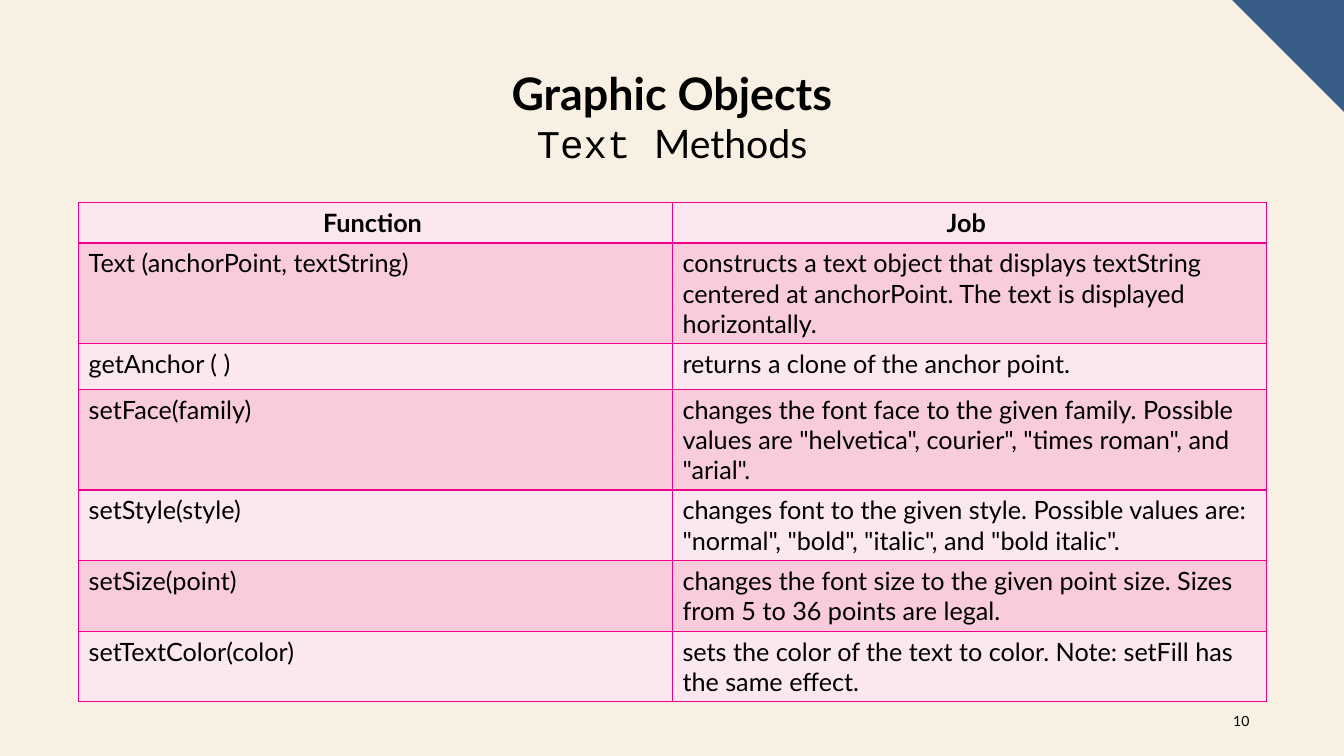
import pptx
import pptx.dml.color
import pptx.enum.text
import pptx.oxml
import pptx.oxml.ns
import pptx.util
from dataclasses import dataclass

Inches = pptx.util.Inches
Align = pptx.enum.text.PP_ALIGN
Anchor = pptx.enum.text.MSO_ANCHOR


@dataclass(frozen=True)
class Theme:
    background: str = "F8F0E3"
    corner: str = "385E88"
    text: str = "000000"
    border: str = "EC008C"
    light_row: str = "FBE7EE"
    dark_row: str = "F8CCDA"
    body_font: str = "Lato"
    code_font: str = "Courier New"
    title_size: int = 32
    subtitle_size: int = 28
    table_size: int = 18
    number_size: int = 10
    border_width: int = 1


METHODS = [
    ("Function ", "Job ", 0.39),
    ("Text (anchorPoint, textString)",
     "constructs a text object that displays textString centered at anchorPoint. "
     "The text is displayed horizontally.", 1.0),
    ("getAnchor ( )", "returns a clone of the anchor point.", 0.45),
    ("setFace(family)",
     "changes the font face to the given family. Possible values are "
     '"helvetica", courier", "times roman", and "arial".', 1.0),
    ("setStyle(style)",
     "changes font to the given style. Possible values are: "
     '"normal", "bold", "italic", and "bold italic".', 0.7),
    ("setSize(point)",
     "changes the font size to the given point size. "
     "Sizes from 5 to 36 points are legal.", 0.7),
    ("setTextColor(color)",
     "sets the color of the text to color. Note: setFill has the same effect.", 0.7),
]


def rgb(color):
    return pptx.dml.color.RGBColor.from_string(color)


class SlideBuilder:
    def __init__(self, slide, theme):
        self.slide = slide
        self.theme = theme

    def background(self):
        fill = self.slide.background.fill
        fill.solid()
        fill.fore_color.rgb = rgb(self.theme.background)

    def polygon(self, points, color):
        start, *others = [(Inches(x), Inches(y)) for x, y in points]
        builder = self.slide.shapes.build_freeform(*start)
        builder.add_line_segments(others, close=True)
        shape = builder.convert_to_shape()
        shape.shadow.inherit = False
        shape.fill.solid()
        shape.fill.fore_color.rgb = rgb(color)
        shape.line.fill.background()

    def style(self, paragraph, size, alignment, bold=False):
        paragraph.alignment = alignment
        font = paragraph.font
        font.name = self.theme.body_font
        font.size = pptx.util.Pt(size)
        font.bold = bold
        font.color.rgb = rgb(self.theme.text)

    def text(self, left, top, width, height, paragraphs, alignment):
        box = self.slide.shapes.add_textbox(
            Inches(left), Inches(top), Inches(width), Inches(height))
        frame = box.text_frame
        frame.word_wrap = True
        frame.vertical_anchor = Anchor.MIDDLE
        for index, (runs, size, bold) in enumerate(paragraphs):
            paragraph = frame.add_paragraph() if index else frame.paragraphs[0]
            self.style(paragraph, size, alignment, bold)
            for content, font_name in runs:
                run = paragraph.add_run()
                run.text = content
                run.font.name = font_name

    def cell_borders(self, cell):
        properties = cell._tc.get_or_add_tcPr()
        width = pptx.util.Pt(self.theme.border_width)
        for index, side in enumerate(("lnL", "lnR", "lnT", "lnB")):
            properties.insert(index, pptx.oxml.parse_xml(
                f'<a:{side} {pptx.oxml.ns.nsdecls("a")} w="{width}"><a:solidFill>'
                f'<a:srgbClr val="{self.theme.border}"/></a:solidFill></a:{side}>'))

    def table(self, left, top, column_width, rows):
        heights = [height for *_, height in rows]
        table = self.slide.shapes.add_table(
            len(rows), 2, Inches(left), Inches(top),
            Inches(2 * column_width), Inches(sum(heights))).table
        for column in table.columns:
            column.width = Inches(column_width)
        for row_index, (*contents, height) in enumerate(rows):
            table.rows[row_index].height = Inches(height)
            header = row_index == 0
            color = self.theme.dark_row if row_index % 2 else self.theme.light_row
            for cell, content in zip(table.rows[row_index].cells, contents):
                cell.text = content
                cell.fill.solid()
                cell.fill.fore_color.rgb = rgb(color)
                self.cell_borders(cell)
                self.style(cell.text_frame.paragraphs[0], self.theme.table_size,
                           Align.CENTER if header else Align.LEFT, header)


def main():
    presentation = pptx.Presentation()
    presentation.slide_width = Inches(13.33)
    presentation.slide_height = Inches(7.5)
    theme = Theme()
    slide = presentation.slides.add_slide(presentation.slide_layouts[6])
    builder = SlideBuilder(slide, theme)

    builder.background()
    builder.polygon([(12.22, 0), (13.33, 0), (13.33, 1.11)], theme.corner)
    builder.text(11.99, 6.95, 0.5, 0.4,
                 [([("10", theme.body_font)], theme.number_size, False)], Align.RIGHT)
    builder.table(0.78, 2.01, 5.89, METHODS)
    builder.text(2.13, 0.87, 9.07, 0.57, [
        ([("Graphic Objects", theme.body_font)], theme.title_size, True),
        ([("Text ", theme.code_font), ("Methods", theme.body_font)],
         theme.subtitle_size, False),
    ], Align.CENTER)

    presentation.save("out.pptx")


if __name__ == "__main__":
    main()
